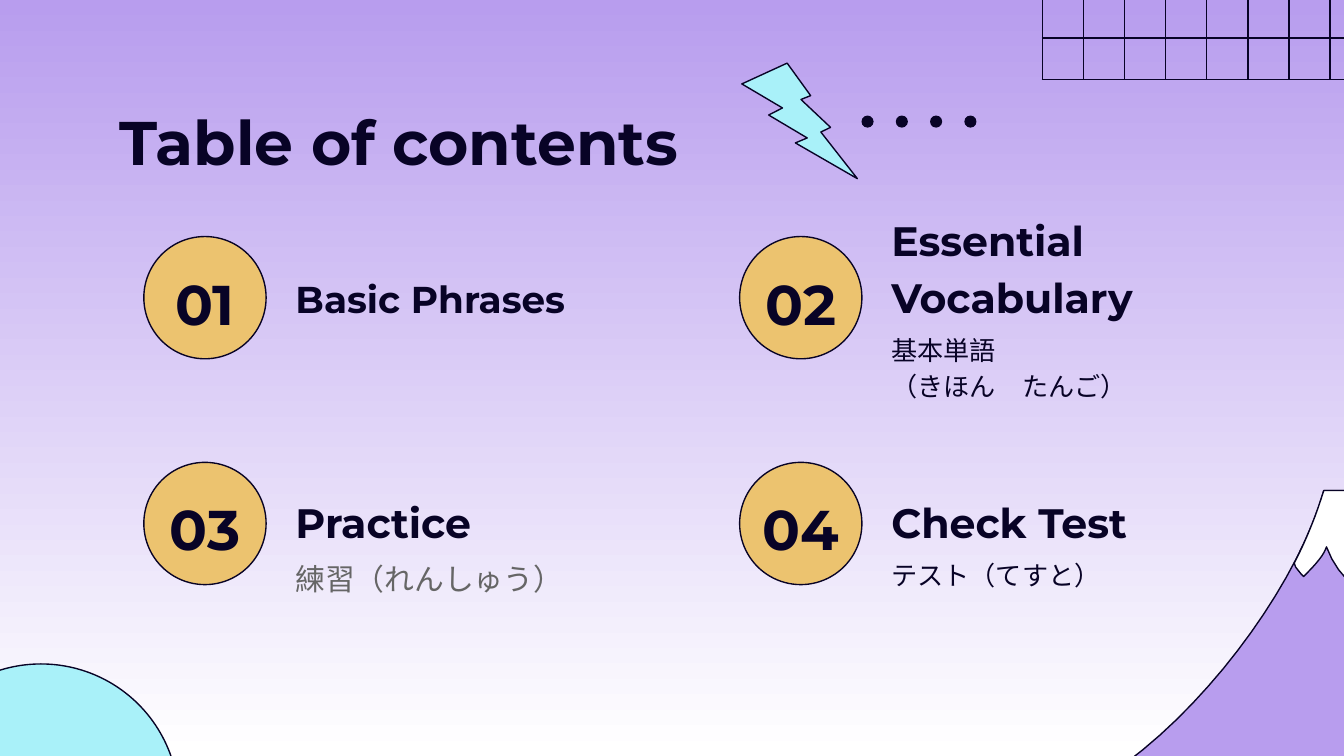
from dataclasses import dataclass
from typing import NamedTuple

from lxml import etree
from pptx import Presentation
from pptx.dml.color import RGBColor
from pptx.enum.shapes import MSO_CONNECTOR, MSO_SHAPE
from pptx.enum.text import MSO_ANCHOR, PP_ALIGN
from pptx.oxml.ns import qn
from pptx.util import Emu, Inches, Pt

STRAIGHT = MSO_CONNECTOR.STRAIGHT
ELLIPSE, PIE, BOLT = MSO_SHAPE.OVAL, MSO_SHAPE.PIE, MSO_SHAPE.LIGHTNING_BOLT
TOP, MIDDLE, BOTTOM = MSO_ANCHOR.TOP, MSO_ANCHOR.MIDDLE, MSO_ANCHOR.BOTTOM
LEFT, CENTER = PP_ALIGN.LEFT, PP_ALIGN.CENTER

SLIDE_WIDTH, SLIDE_HEIGHT = Inches(10), Inches(5.625)
COLUMN_LEFTS = (10.7, 55.03)
ROW_TOPS = (17.6, 34.4)


@dataclass(frozen=True)
class Theme:
    font: str = "Montserrat"
    ink: str = "080326"
    muted: str = "666666"
    lilac: str = "B89DEE"
    white: str = "FFFFFF"
    gold: str = "ECC36F"
    aqua: str = "A9F1F9"
    outline: float = 0.75
    title_size: int = 33
    number_size: int = 30
    heading_size: int = 22
    small_heading_size: int = 20
    large_note_size: int = 16
    note_size: int = 14
    line_spacing: float = 1.15


THEME = Theme()


class Box(NamedTuple):
    left: float
    top: float
    width: float
    height: float


class Point(NamedTuple):
    x: float
    y: float


class Style(NamedTuple):
    size: int
    color: str = THEME.ink
    bold: bool = True
    anchor: MSO_ANCHOR = TOP
    align: PP_ALIGN = LEFT


class Topic(NamedTuple):
    number: str
    heading: str
    column: int
    row: int
    notes: tuple[str, ...] = ()
    heading_size: int = THEME.heading_size
    note_size: int = THEME.note_size
    note_color: str = THEME.ink


TOPICS = (
    Topic("01", "Basic Phrases", 0, 0, heading_size=THEME.small_heading_size),
    Topic("02", "Essential Vocabulary", 1, 0, ("基本単語", "（きほん　たんご）")),
    Topic("03", "Practice", 0, 1, ("練習（れんしゅう）",),
          note_size=THEME.large_note_size, note_color=THEME.muted),
    Topic("04", "Check Test", 1, 1, ("テスト（てすと）",)),
)


def share(percent: float) -> Emu:
    return Emu(round(SLIDE_WIDTH * percent / 100))


def place(box: Box) -> list[Emu]:
    return [share(length) for length in box]


def paint(shape, fill: str, outlined: bool = True) -> None:
    shape.shadow.inherit = False
    shape.fill.solid()
    shape.fill.fore_color.rgb = RGBColor.from_string(fill)
    if outlined:
        shape.line.color.rgb = RGBColor.from_string(THEME.ink)
        shape.line.width = Pt(THEME.outline)
    else:
        shape.line.fill.background()


def add_figure(slide, kind: MSO_SHAPE, box: Box, fill: str, outlined: bool = True):
    figure = slide.shapes.add_shape(kind, *place(box))
    paint(figure, fill, outlined)
    return figure


def add_rule(slide, start: Point, end: Point) -> None:
    rule = slide.shapes.add_connector(
        STRAIGHT, share(start.x), share(start.y), share(end.x), share(end.y))
    rule.line.color.rgb = RGBColor.from_string(THEME.ink)
    rule.line.width = Pt(THEME.outline)
    etree.SubElement(rule._element.spPr, qn("a:effectLst"))


def add_text(slide, box: Box, lines: tuple[str, ...], style: Style) -> None:
    frame = slide.shapes.add_textbox(*place(box)).text_frame
    frame.word_wrap = True
    frame.vertical_anchor = style.anchor
    frame.margin_left = frame.margin_right = share(1)
    frame.margin_top = frame.margin_bottom = share(1)
    for index, line in enumerate(lines):
        paragraph = frame.add_paragraph() if index else frame.paragraphs[0]
        paragraph.alignment = style.align
        paragraph.line_spacing = THEME.line_spacing
        run = paragraph.add_run()
        run.text = line
        run.font.name = THEME.font
        run.font.size = Pt(style.size)
        run.font.bold = style.bold
        run.font.color.rgb = RGBColor.from_string(style.color)


def curve(a: Point, b: Point, c: Point, d: Point, steps: int = 20) -> list[Point]:
    points = []
    for step in range(steps + 1):
        t = step / steps
        weights = ((1 - t) ** 3, 3 * t * (1 - t) ** 2, 3 * t * t * (1 - t), t ** 3)
        points.append(Point(*(sum(w * v for w, v in zip(weights, axis))
                              for axis in zip(a, b, c, d))))
    return points


def add_outline(slide, points: list[Point], fill: str) -> None:
    corners = [(share(point.x), share(point.y)) for point in points]
    builder = slide.shapes.build_freeform(*corners[0])
    builder.add_line_segments(corners[1:], close=True)
    paint(builder.convert_to_shape(), fill)


def draw_mountain(slide) -> None:
    peak_left, peak_right = Point(98.5, 36.5), Point(101.9, 36.5)
    right_slope = curve(peak_right, Point(103, 40.4), Point(105.7, 45.2), Point(109.2, 49.5))
    left_slope = curve(Point(78.4, 59.9), Point(87.4, 56.2), Point(96.3, 44.4), peak_left)
    base = [Point(109.2, 66.4), Point(78.4, 66.4)]
    add_outline(slide, right_slope + base + left_slope, THEME.lilac)

    middle = 100.2
    snow_left = [Point(middle, 43.1), Point(99.6, 42.4), Point(99.1, 41.6), Point(98.7, 40.7)]
    snow_left += curve(Point(98.7, 40.7), Point(98.5, 41.3), Point(98, 41.9), Point(97, 42.9), 8)
    snow_left += [Point(96.8, 42.7), Point(96.4, 42.2)]
    snow_left += curve(Point(96.3, 41.9), Point(97.3, 40), Point(98, 38.1), peak_left, 8)
    snow_right = [Point(2 * middle - p.x, p.y) for p in reversed(snow_left[1:])]
    add_outline(slide, snow_left + snow_right, THEME.white)


def draw_scenery(slide) -> None:
    draw_mountain(slide)
    spacing, bottom = 3.06, 5.9
    for column in range(8):
        x = 77.55 + column * spacing
        add_rule(slide, Point(x, -24.6), Point(x, bottom))
    for row in range(2):
        y = bottom - row * spacing
        add_rule(slide, Point(77.5, y), Point(108.2, y))
    half_disc = add_figure(slide, PIE, Box(-7.2, 49.4, 20.5, 20.5), THEME.aqua)
    half_disc.adjustments[0] = 108
    half_disc.adjustments[1] = 0


def draw_topic(slide, topic: Topic) -> None:
    left, top = COLUMN_LEFTS[topic.column], ROW_TOPS[topic.row]
    add_figure(slide, ELLIPSE, Box(left, top, 9.1, 9.1), THEME.gold)
    add_text(slide, Box(left + 0.55, top + 1.8, 8, 5.5), (topic.number,),
             Style(THEME.number_size, anchor=MIDDLE, align=CENTER))
    add_text(slide, Box(left + 10.3, top + 1.8, 25.2, 5.5), (topic.heading,),
             Style(topic.heading_size, anchor=BOTTOM))
    if topic.notes:
        add_text(slide, Box(left + 10.3, top + 5.9, 25.2, 6), topic.notes,
                 Style(topic.note_size, topic.note_color, bold=False))


def main() -> None:
    deck = Presentation()
    deck.slide_width, deck.slide_height = SLIDE_WIDTH, SLIDE_HEIGHT
    slide = deck.slides.add_slide(deck.slide_layouts[6])
    backdrop = slide.background.fill
    backdrop.gradient()
    backdrop.gradient_angle = 270
    for stop, color in zip(backdrop.gradient_stops, (THEME.lilac, THEME.white)):
        stop.color.rgb = RGBColor.from_string(color)

    draw_scenery(slide)
    add_text(slide, Box(7.9, 5.9, 84.3, 6.3), ("Table of contents",), Style(THEME.title_size))
    for topic in TOPICS:
        draw_topic(slide, topic)
    for dot in range(4):
        add_figure(slide, ELLIPSE, Box(64.1 + dot * 2.55, 8.6, 0.9, 0.9), THEME.ink, outlined=False)
    add_figure(slide, BOLT, Box(55.2, 4.7, 8.6, 8.6), THEME.aqua)
    deck.save("out.pptx")


if __name__ == "__main__":
    main()
